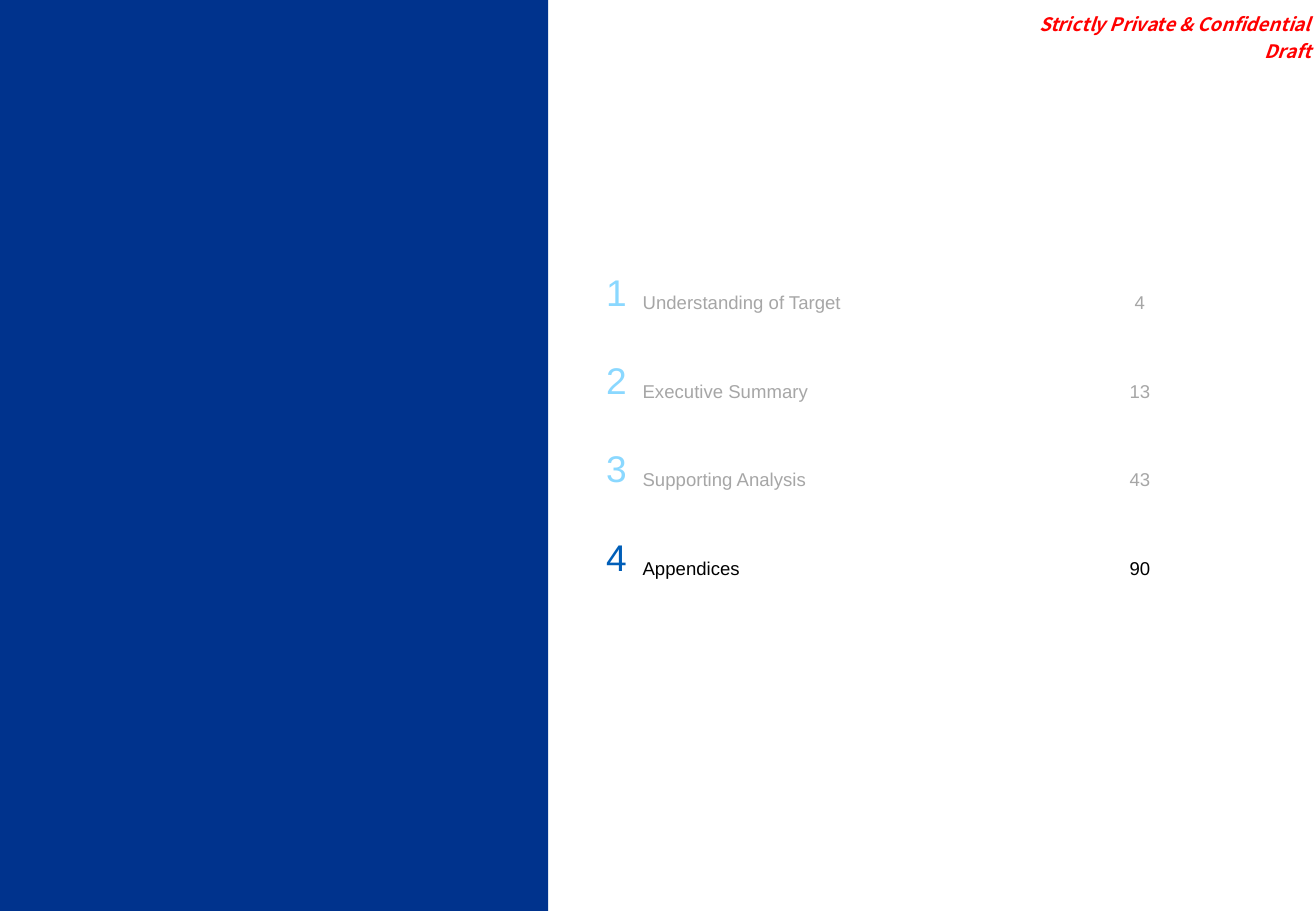
from dataclasses import dataclass

from pptx import Presentation
from pptx.dml.color import RGBColor
from pptx.enum.shapes import MSO_SHAPE
from pptx.enum.text import MSO_ANCHOR, PP_ALIGN
from pptx.slide import Slide
from pptx.table import _Cell
from pptx.text.text import _Paragraph
from pptx.util import Pt

SLIDE_WIDTH, SLIDE_HEIGHT = 780, 540
PANEL_WIDTH = 324.9
ROW_HEIGHT = 52.4


@dataclass(frozen=True)
class Section:
    number: str
    title: str
    page: str
    number_color: str = "8AD8FF"
    text_color: str = "A6A6A6"


@dataclass(frozen=True)
class Column:
    width: float
    align: PP_ALIGN
    size: float
    margins: tuple[float, float, float, float]


SECTIONS = [
    Section("1", "Understanding of Target", "4"),
    Section("2", "Executive Summary", "13"),
    Section("3", "Supporting Analysis", "43"),
    Section("4", "Appendices", "90", "005EB8", "000000"),
]
COLUMNS = [
    Column(37.4, PP_ALIGN.RIGHT, 22, (6.5, 3.6, 6.5, 3.6)),
    Column(280, PP_ALIGN.LEFT, 11, (2.9, 15.8, 0, 3.6)),
    Column(35.3, PP_ALIGN.CENTER, 11, (6.5, 15.8, 6.5, 3.6)),
]


def color(value: str) -> RGBColor:
    return RGBColor.from_string(value)


def write(paragraph: _Paragraph, text: str, align: PP_ALIGN, size: float,
          fill: str, face: str, emphasis: bool = False) -> None:
    paragraph.alignment = align
    run = paragraph.add_run()
    run.text = text
    run.font.name = face
    run.font.size = Pt(size)
    run.font.color.rgb = color(fill)
    run.font.bold = run.font.italic = emphasis


def draw_panel(slide: Slide) -> None:
    panel = slide.shapes.add_shape(
        MSO_SHAPE.RECTANGLE, 0, 0, Pt(PANEL_WIDTH), Pt(SLIDE_HEIGHT))
    panel.shadow.inherit = False
    panel.fill.solid()
    panel.fill.fore_color.rgb = color("00338D")
    panel.line.fill.background()


def draw_marking(slide: Slide) -> None:
    width = 195
    marking = slide.shapes.add_textbox(
        Pt(SLIDE_WIDTH - width), 0, Pt(width), Pt(39.6)).text_frame
    marking.word_wrap = True
    marking.vertical_anchor = MSO_ANCHOR.BOTTOM
    marking.margin_left = 0
    marking.margin_top = marking.margin_right = marking.margin_bottom = Pt(2.9)
    notice, status = marking.paragraphs[0], marking.add_paragraph()
    status.space_before = Pt(2.5)
    for paragraph, text in ((notice, "Strictly Private & Confidential"), (status, "Draft")):
        write(paragraph, text, PP_ALIGN.RIGHT, 11, "FF0000", "Noto Sans CJK KR", True)


def fill_cell(cell: _Cell, column: Column, text: str, fill: str) -> None:
    cell.fill.background()
    cell.vertical_anchor = MSO_ANCHOR.MIDDLE
    cell.margin_left, cell.margin_top, cell.margin_right, cell.margin_bottom = map(
        Pt, column.margins)
    write(cell.text_frame.paragraphs[0], text, column.align, column.size, fill, "Arial")


def draw_contents(slide: Slide) -> None:
    contents = slide.shapes.add_table(
        len(SECTIONS), len(COLUMNS), Pt(340.6), Pt(147.6),
        Pt(sum(column.width for column in COLUMNS)),
        Pt(ROW_HEIGHT * len(SECTIONS))).table
    contents.first_row = contents.horz_banding = False
    for index, column in enumerate(COLUMNS):
        contents.columns[index].width = Pt(column.width)
    for row, section in enumerate(SECTIONS):
        contents.rows[row].height = Pt(ROW_HEIGHT)
        entries = (
            (section.number, section.number_color),
            (section.title, section.text_color),
            (section.page, section.text_color),
        )
        for index, (column, (text, fill)) in enumerate(zip(COLUMNS, entries)):
            fill_cell(contents.cell(row, index), column, text, fill)


def main() -> None:
    deck = Presentation()
    deck.slide_width, deck.slide_height = Pt(SLIDE_WIDTH), Pt(SLIDE_HEIGHT)
    slide = deck.slides.add_slide(deck.slide_layouts.get_by_name("Blank"))
    draw_panel(slide)
    draw_marking(slide)
    draw_contents(slide)
    deck.save("out.pptx")


if __name__ == "__main__":
    main()
